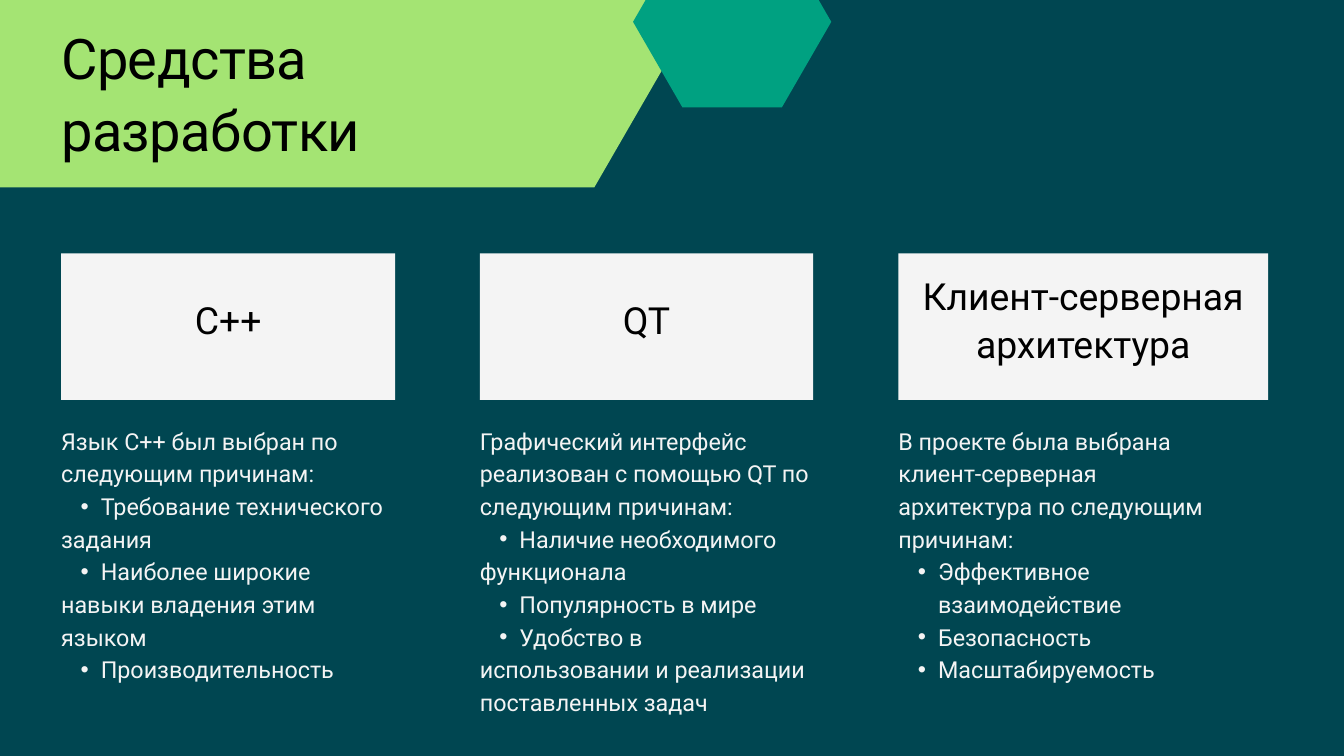
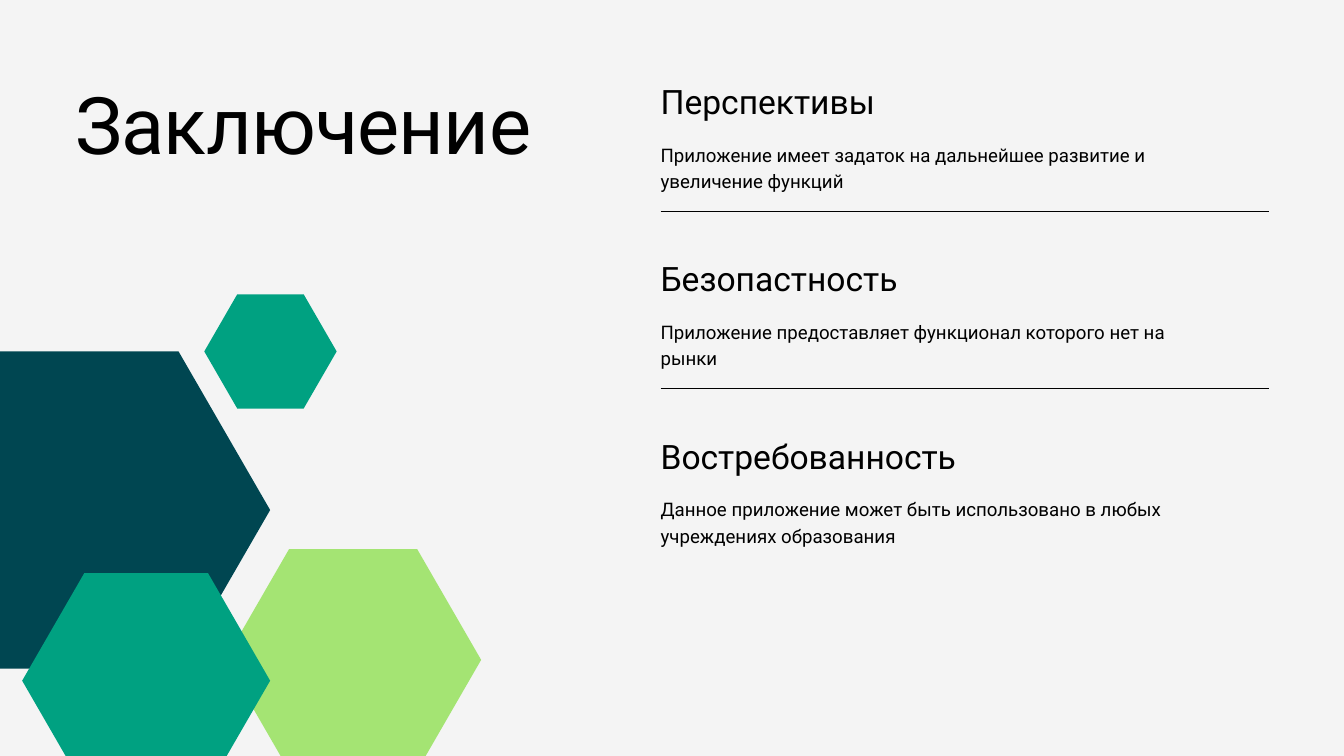
from lxml.etree import SubElement
from pptx import Presentation
from pptx.dml.color import RGBColor
from pptx.enum.shapes import MSO_CONNECTOR, MSO_SHAPE
from pptx.enum.text import MSO_ANCHOR, PP_ALIGN
from pptx.oxml.ns import qn
from pptx.util import Inches, Pt

COLUMNS, ROWS = 20, 11.25
FONT = "Roboto"
BLACK, PALE, DARK, LIME, GREEN = "000000", "F4F4F4", "004651", "A4E473", "00A181"
HEXAGON_INSET = 0.2887
MARGIN = 0.91
RIGHT_EDGE = 18.88
REASON_STEP = 6.23
CONCLUSION_LEFT, CONCLUSION_TOP, CONCLUSION_STEP = 9.83, 1.2, 2.64

REASONS = [
    ("C++", 4.97, [
        "Язык С++ был выбран по следующим причинам:",
        "• Требование технического",
        "задания",
        "• Наиболее широкие",
        "навыки владения этим языком",
        "• Производительность",
    ]),
    ("QT", 4.96, [
        "Графический интерфейс реализован с помощью QT по следующим причинам:",
        "• Наличие необходимого",
        "функционала",
        "• Популярность в мире",
        "• Удобство в",
        "использовании и реализации поставленных задач",
    ]),
    ("Клиент-серверная архитектура", 5.5, [
        "В проекте была выбрана клиент-серверная архитектура по следующим причинам:",
        "• Эффективное взаимодействие",
        "• Безопасность",
        "• Масштабируемость",
    ]),
]

CONCLUSIONS = [
    ("Перспективы", [
        "Приложение имеет задаток на дальнейшее развитие и",
        "увеличение функций",
    ]),
    ("Безопастность", [
        "Приложение предоставляет функционал которого нет на",
        "рынки",
    ]),
    ("Востребованность", [
        "Данное приложение может быть использовано в любых учреждениях образования",
    ]),
]


def color(value):
    return RGBColor.from_string(value)


def grid(*cells):
    return [Inches(cell) for cell in cells]


def add_page(deck, background):
    page = deck.slides.add_slide(deck.slide_layouts[6])
    page.background.fill.solid()
    page.background.fill.fore_color.rgb = color(background)
    return page


def add_filled(page, preset, place, fill):
    shape = page.shapes.add_shape(preset, *grid(*place))
    shape.shadow.inherit = False
    shape.fill.solid()
    shape.fill.fore_color.rgb = color(fill)
    shape.line.fill.background()
    return shape


def add_hexagon(page, place, fill):
    hexagon = add_filled(page, MSO_SHAPE.HEXAGON, place, fill)
    hexagon.adjustments[0] = HEXAGON_INSET


def set_insets(frame, left, top, right, bottom):
    frame.margin_left, frame.margin_top, frame.margin_right, frame.margin_bottom = grid(
        left, top, right, bottom)


def add_bullet(para):
    properties = para._p.get_or_add_pPr()
    properties.set("marL", str(Inches(0.59)))
    properties.set("indent", str(Inches(-0.3)))
    SubElement(properties, qn("a:buFont")).set("typeface", "Arial")
    SubElement(properties, qn("a:buChar")).set("char", "•")


def write(frame, lines, size, leading, ink=BLACK, align=PP_ALIGN.LEFT, tracking=0):
    frame.word_wrap = True
    for index, line in enumerate(lines):
        para = frame.paragraphs[0] if index == 0 else frame.add_paragraph()
        para.alignment = align
        para.line_spacing = Pt(leading)
        if line.startswith("• "):
            add_bullet(para)
        span = para.add_run()
        span.text = line.removeprefix("• ")
        if tracking:
            span._r.get_or_add_rPr().set("spc", str(tracking))
        para.font.name = FONT
        para.font.size = Pt(size)
        para.font.color.rgb = color(ink)


def add_text(page, place, lines, size, leading, **style):
    box = page.shapes.add_textbox(*grid(*place))
    set_insets(box.text_frame, 0, 0, 0, 0)
    write(box.text_frame, lines, size, leading, **style)


def add_card(page, place, heading):
    card = add_filled(page, MSO_SHAPE.RECTANGLE, place, PALE)
    card.text_frame.vertical_anchor = MSO_ANCHOR.MIDDLE
    set_insets(card.text_frame, 0.28, 0.1, 0.28, 0.37)
    write(card.text_frame, [heading], 40, 52, align=PP_ALIGN.CENTER)


def add_rule(page, left, right, row):
    rule = page.shapes.add_connector(MSO_CONNECTOR.STRAIGHT, *grid(left, row, right, row))
    rule.line.color.rgb = color(BLACK)
    rule.line.width = Pt(0.75)
    SubElement(rule._element.spPr, qn("a:effectLst"))


def build_tools(deck):
    page = add_page(deck, DARK)
    add_hexagon(page, (-3.19, -4.02, 14, 6.81), LIME)
    add_hexagon(page, (9.42, -0.95, 2.95, 2.55), GREEN)
    add_text(page, (MARGIN, 0.26, 7.25, 2.16), ["Средства разработки"], 60, 78, tracking=-60)
    for index, (heading, width, lines) in enumerate(REASONS):
        left = MARGIN + index * REASON_STEP
        add_card(page, (left, 3.77, width, 2.18), heading)
        add_text(page, (left, 6.28, 4.95, 4.3), lines, 25, 35, ink=PALE)


def build_conclusion(deck):
    page = add_page(deck, PALE)
    add_text(page, (1.12, 1.12, 6.96, 1.41), ["Заключение"], 85, 102, tracking=-80)
    add_hexagon(page, (-1.43, 5.23, 5.45, 4.72), DARK)
    add_hexagon(page, (3.35, 8.17, 3.81, 3.3), LIME)
    add_hexagon(page, (3.04, 4.38, 1.97, 1.7), GREEN)
    add_hexagon(page, (0.33, 8.53, 3.69, 3.2), GREEN)
    width = RIGHT_EDGE - CONCLUSION_LEFT
    for index, (heading, lines) in enumerate(CONCLUSIONS):
        top = CONCLUSION_TOP + index * CONCLUSION_STEP
        add_text(page, (CONCLUSION_LEFT, top, width, 0.6), [heading], 36, 43.2)
        add_text(page, (CONCLUSION_LEFT, top + 0.88, width, 0.75), lines, 20, 28)
        if index < len(CONCLUSIONS) - 1:
            add_rule(page, CONCLUSION_LEFT, RIGHT_EDGE, top + 1.94)


def main():
    deck = Presentation()
    deck.slide_width, deck.slide_height = grid(COLUMNS, ROWS)
    build_tools(deck)
    build_conclusion(deck)
    deck.save("out.pptx")


if __name__ == "__main__":
    main()
